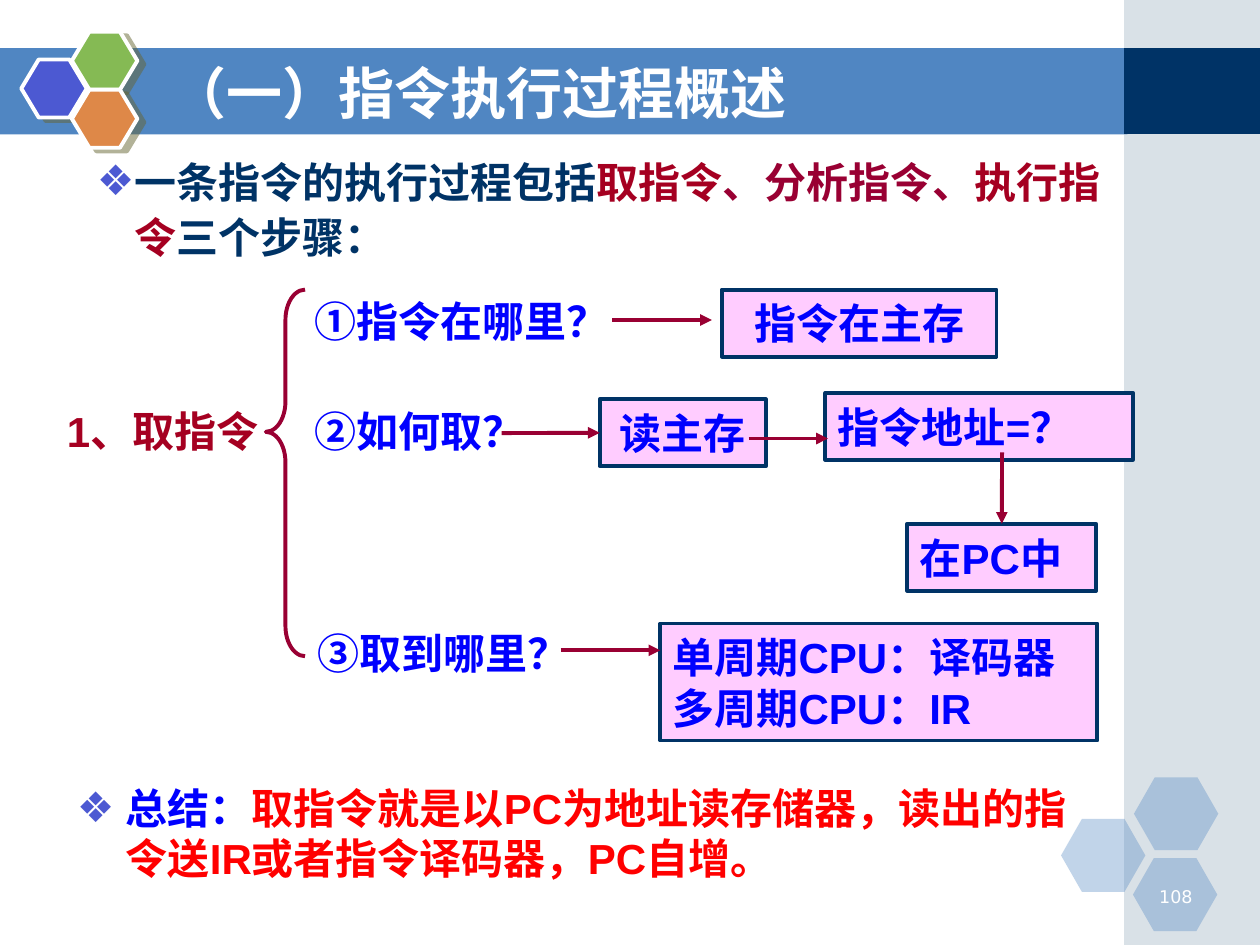
from dataclasses import dataclass

from lxml import etree
from pptx import Presentation
from pptx.dml.color import RGBColor
from pptx.enum.shapes import MSO_CONNECTOR, MSO_SHAPE
from pptx.enum.text import MSO_ANCHOR, MSO_AUTO_SIZE, PP_ALIGN
from pptx.oxml.ns import qn
from pptx.util import Cm, Pt

RECT, HEX, BRACE = MSO_SHAPE.RECTANGLE, MSO_SHAPE.HEXAGON, MSO_SHAPE.LEFT_BRACE
LINE = MSO_CONNECTOR.STRAIGHT
LEFT, MID, RIGHT = PP_ALIGN.LEFT, PP_ALIGN.CENTER, PP_ALIGN.RIGHT
TOP, CENTRE = MSO_ANCHOR.TOP, MSO_ANCHOR.MIDDLE
FIXED, GROW = MSO_AUTO_SIZE.NONE, MSO_AUTO_SIZE.SHAPE_TO_FIT_TEXT
TOP_SIDE, LEFT_SIDE = 0, 1


@dataclass(frozen=True)
class Theme:
    sky: str = "5086C2"
    navy: str = "003366"
    mist: str = "A0B5C4"
    white: str = "FFFFFF"
    iris: str = "4C59D2"
    green: str = "85BA54"
    orange: str = "DE8848"
    shade: str = "666633"
    red: str = "A50021"
    wine: str = "990033"
    blue: str = "0000FF"
    alert: str = "FF0000"
    pink: str = "FFCCFF"
    big: float = 32
    main: float = 24
    small: float = 10
    rule: float = 2.25
    latin: str = "Arial"
    han: str = "Noto Sans CJK SC"
    digit: str = "DejaVu Sans"


T = Theme()


def rgb(code):
    return RGBColor.from_string(code)


def sub(node, tag, **attrs):
    return etree.SubElement(node, qn(tag), attrs)


def area(box, x, y, w, h):
    return Cm(box[0] + x), Cm(box[1] + y), Cm(w), Cm(h)


def style(run, color, size=T.main, face=T.latin, bold=True):
    font = run.font
    font.size, font.bold, font.name = Pt(size), bold, face
    font.color.rgb = rgb(color)
    sub(run.font._element, "a:ea", typeface=T.han)


def write(frame, rows, align=LEFT, anchor=TOP, fit=GROW, **look):
    frame.word_wrap, frame.auto_size = True, fit
    frame.vertical_anchor = anchor
    for i, row in enumerate(rows):
        para = frame.add_paragraph() if i else frame.paragraphs[0]
        para.alignment, para.space_before = align, Pt(0)
        for words, color in row:
            run = para.add_run()
            run.text = words
            style(run, color, **look)


def bullet(para, indent):
    props = para._p.get_or_add_pPr()
    props.set("marL", str(Cm(indent)))
    props.set("indent", str(-Cm(indent)))
    sub(sub(props, "a:buClr"), "a:srgbClr", val=T.iris)
    sub(props, "a:buFont", typeface=T.digit)
    sub(props, "a:buChar", char="❖")


def block(slide, kind, spot, fill=None, line=None, alpha=None):
    shape = slide.shapes.add_shape(kind, *spot)
    shape.shadow.inherit = False
    if fill:
        shape.fill.solid()
        shape.fill.fore_color.rgb = rgb(fill)
    else:
        shape.fill.background()
    if line:
        shape.line.color.rgb, shape.line.width = rgb(line), Pt(T.rule)
    else:
        shape.line.fill.background()
    if alpha:
        tint = shape._element.spPr.find(".//" + qn("a:srgbClr"))
        sub(tint, "a:alpha", val=str(alpha * 1000))
    return shape


def label(slide, spot, rows, **look):
    text = slide.shapes.add_textbox(*spot)
    write(text.text_frame, rows, **look)
    return text


def card(slide, spot, rows, align=LEFT):
    shape = block(slide, RECT, spot, T.pink, T.navy)
    write(shape.text_frame, [[(row, T.blue)] for row in rows], align, CENTRE)
    return shape


def arrow(slide, box, x, y, x2, y2, goal=None, side=LEFT_SIDE):
    ends = [Cm(box[0] + x), Cm(box[1] + y), Cm(box[0] + x2), Cm(box[1] + y2)]
    link = slide.shapes.add_connector(LINE, *ends)
    if goal is not None:
        link.end_connect(goal, side)
    link.line.color.rgb, link.line.width = rgb(T.wine), Pt(T.rule)
    sub(link.line._get_or_add_ln(), "a:tailEnd", type="triangle")
    sub(link._element.spPr, "a:effectLst")


def hold(slide, item, spot):
    item.left, item.top, item.width, item.height = spot
    slide.shapes._spTree.append(item._element)
    return item.text_frame


def logo(slide, box):
    for x, y, fill in ((0, 0.56, T.iris), (1.02, 0, T.green), (1.02, 1.17, T.orange)):
        cell = block(slide, HEX, area(box, x, y, 1.32, 1.17), fill, T.white)
        cell.adjustments[0] = 0.3
        glow = cell._element.spPr.find(qn("a:effectLst"))
        cast = sub(glow, "a:outerShdw", dist=str(Pt(4.5)), dir="1620000", algn="ctr")
        sub(sub(cast, "a:srgbClr", val=T.shade), "a:alpha", val="50000")


def comb(slide, box):
    for x, y in ((0, 0.84), (1.47, 0), (1.45, 1.63)):
        cell = block(slide, HEX, area(box, x, y, 1.7, 1.47), T.sky, alpha=35)
        cell.adjustments[0] = 0.286
    label(slide, area(box, 1.63, 2.06, 1.27, 0.63), [[("108", T.white)]],
          align=RIGHT, size=T.small, face=T.digit, bold=False)


def frame(slide, box):
    block(slide, RECT, area(box, 0, 0.97, 22.73, 1.74), T.sky)
    block(slide, RECT, area(box, 22.66, 0, 2.74, 19.05), T.mist, alpha=40)
    block(slide, RECT, area(box, 22.66, 0.97, 2.74, 1.73), T.navy)


def head(slide, box):
    text = hold(slide, slide.shapes.title, area(box, 0, 0, 18.62, 1.57))
    write(text, [[("（一）指令执行过程概述", T.white)]], anchor=CENTRE,
          fit=FIXED, size=T.big, face=T.han)


def intro(slide, box):
    text = hold(slide, slide.placeholders[1], area(box, 0, 0, 20.8, 2.59))
    bullet(text.paragraphs[0], 0.76)
    write(text, [[("一条指令的执行过程包括", T.navy), ("取指令", T.red),
                  ("、分析指令、", T.wine), ("执行指令", T.red),
                  ("三个步骤：", T.navy)]], fit=FIXED)
    text.paragraphs[0].line_spacing = 1.1


def fetch(slide, box):
    label(slide, area(box, 0, 2.21, 4.7, 1.27), [[("1、取指令", T.red)]])
    brace = block(slide, BRACE, area(box, 4.26, 0, 0.79, 7.39), line=T.wine)
    brace.adjustments[0], brace.adjustments[1] = 0.773, 0.388
    asks = ((5, 0, 6.6, "①指令在哪里？"), (5, 2.21, 5.2, "②如何取？"),
            (5.05, 6.68, 5.74, "③取到哪里？"))
    for x, y, w, words in asks:
        label(slide, area(box, x, y, w, 1.27), [[(words, T.blue)]])

    card(slide, area(box, 13.45, 0, 5.54, 1.35), ["指令在主存"], MID)
    read = card(slide, area(box, 10.99, 2.21, 3.35, 1.35), ["读主存"], MID)
    card(slide, area(box, 15.54, 2.08, 6.2, 1.35), ["指令地址=？"])
    count = card(slide, area(box, 17.19, 4.72, 3.81, 1.35), ["在PC中"])
    card(slide, area(box, 12.21, 6.73, 8.81, 2.36),
         ["单周期CPU：译码器", "多周期CPU：IR"])

    arrow(slide, box, 11.24, 0.61, 13.25, 0.61)
    arrow(slide, box, 9.01, 2.89, 10.99, 2.89, read)
    arrow(slide, box, 13.99, 3, 15.59, 3)
    arrow(slide, box, 19.1, 3.28, 19.1, 4.72, count, TOP_SIDE)
    arrow(slide, box, 10.2, 7.27, 12.21, 7.27)


def recap(slide, box):
    text = slide.shapes.add_textbox(*area(box, 0, 0, 21, 2.29)).text_frame
    bullet(text.paragraphs[0], 0.99)
    write(text, [[("总结：", T.blue),
                  ("取指令就是以PC为地址读存储器，读出的指令送IR或者指令译码器，PC自增。",
                   T.alert)]])


def main():
    deck = Presentation()
    deck.slide_width, deck.slide_height = Cm(25.4), Cm(19.05)
    slide = deck.slides.add_slide(deck.slide_layouts[1])
    frame(slide, (0, 0))
    comb(slide, (21.39, 15.67))
    logo(slide, (0.43, 0.64))
    head(slide, (3.18, 1.07))
    intro(slide, (1.7, 2.92))
    fetch(slide, (1.1, 5.84))
    recap(slide, (1.3, 15.65))
    deck.save("out.pptx")


if __name__ == "__main__":
    main()
